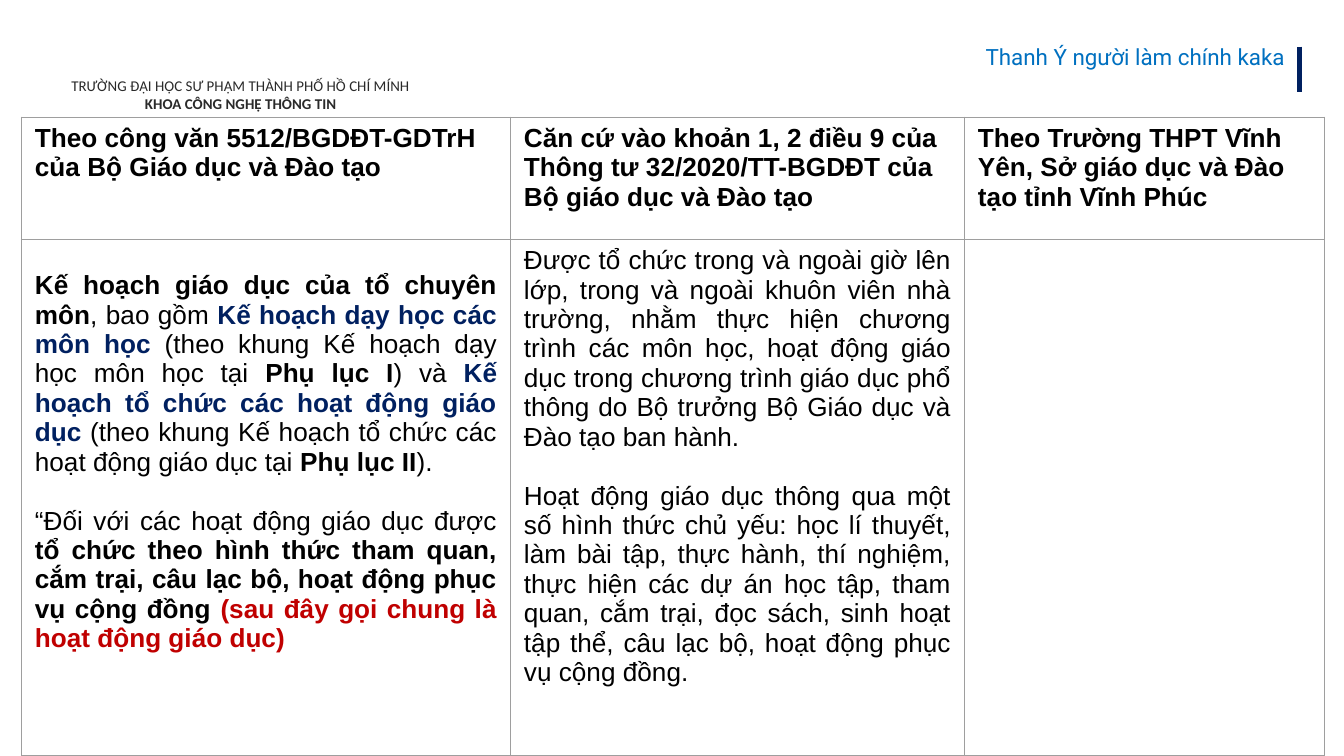
from lxml.etree import SubElement
from pptx import Presentation
from pptx.dml.color import RGBColor as RGB
from pptx.enum.shapes import MSO_CONNECTOR as CONN
from pptx.enum.text import MSO_ANCHOR as ANCHOR, PP_ALIGN as ALIGN
from pptx.oxml import parse_xml
from pptx.oxml.ns import nsdecls, qn
from pptx.util import Pt

COLORS = {
    "ink": "000000",
    "gray": "2A2A2A",
    "blue": "0070C0",
    "navy": "002060",
    "red": "C00000",
    "border": "9E9E9E",
}

SCHOOL = {"name": "Calibri", "size": Pt(8), "color": "gray"}
AUTHOR = {"name": "Roboto", "size": Pt(12), "color": "blue"}
BODY = {"name": "Arial", "size": Pt(14), "bold": False, "color": "ink"}
BOLD = BODY | {"bold": True}
NAVY = BOLD | {"color": "navy"}
RED = BOLD | {"color": "red"}

HEADERS = [
    "Theo công văn 5512/BGDĐT-GDTrH của Bộ Giáo dục và Đào tạo",
    "Căn cứ vào khoản 1, 2 điều 9 của Thông tư 32/2020/TT-BGDĐT của Bộ giáo dục và Đào tạo",
    "Theo Trường THPT Vĩnh Yên, Sở giáo dục và Đào tạo tỉnh Vĩnh Phúc",
]

PLANS = [
    [
        ("Kế hoạch giáo dục của tổ chuyên môn", BOLD),
        (", bao gồm ", BODY),
        ("Kế hoạch dạy học các môn học ", NAVY),
        ("(theo khung Kế hoạch dạy học môn học tại ", BODY),
        ("Phụ lục I", BOLD),
        (") và ", BODY),
        ("Kế hoạch tổ chức các hoạt động giáo dục", NAVY),
        (" (theo khung Kế hoạch tổ chức các hoạt động giáo dục tại ", BODY),
        ("Phụ lục II", BOLD),
        (").", BODY),
    ],
    [
        ("“Đối với các hoạt động giáo dục được ", BODY),
        ("tổ chức theo hình thức tham quan, cắm trại, câu lạc bộ, "
         "hoạt động phục vụ cộng đồng ", BOLD),
        ("(sau đây gọi chung là hoạt động giáo dục)", RED),
    ],
]

ACTIVITIES = [
    [("Được tổ chức trong và ngoài giờ lên lớp, trong và ngoài khuôn viên nhà trường, "
      "nhằm thực hiện chương trình các môn học, hoạt động giáo dục trong chương trình "
      "giáo dục phổ thông do Bộ trưởng Bộ Giáo dục và Đào tạo ban hành.", BODY)],
    [("Hoạt động giáo dục thông qua một số hình thức chủ yếu: học lí thuyết, làm bài tập, "
      "thực hành, thí nghiệm, thực hiện các dự án học tập, tham quan, cắm trại, đọc sách, "
      "sinh hoạt tập thể, câu lạc bộ, hoạt động phục vụ cộng đồng.", BODY)],
]


class Deck:
    def __init__(self, width, height):
        self.prs = Presentation()
        self.prs.slide_width, self.prs.slide_height = Pt(width), Pt(height)
        self.s = self.prs.slides.add_slide(self.prs.slide_layouts[6])

    def fill_text(self, tf, paragraphs, align, gap=0):
        for i, runs in enumerate(paragraphs):
            p = tf.add_paragraph() if i else tf.paragraphs[0]
            p.alignment = align
            p.space_before = Pt(gap if i else 0)
            for text, style in runs:
                r = p.add_run()
                r.text = text
                for key, value in style.items():
                    if key == "color":
                        r.font.color.rgb = RGB.from_string(COLORS[value])
                    else:
                        setattr(r.font, key, value)

    def text(self, x, y, w, h, paragraphs, align):
        tf = self.s.shapes.add_textbox(Pt(x), Pt(y), Pt(w), Pt(h)).text_frame
        tf.word_wrap = True
        self.fill_text(tf, paragraphs, align)

    def line(self, x1, y1, x2, y2, color, width):
        sp = self.s.shapes.add_connector(CONN.STRAIGHT, Pt(x1), Pt(y1), Pt(x2), Pt(y2))
        sp.line.color.rgb = RGB.from_string(COLORS[color])
        sp.line.width = Pt(width)
        SubElement(sp._element.spPr, qn("a:effectLst"))

    def border(self, cell, color, width):
        tc_pr = cell._tc.get_or_add_tcPr()
        for i, side in enumerate("LRTB"):
            tc_pr.insert(i, parse_xml(
                f'<a:ln{side} {nsdecls("a")} w="{Pt(width)}"><a:solidFill>'
                f'<a:srgbClr val="{COLORS[color]}"/></a:solidFill></a:ln{side}>'))

    def table(self, x, y, widths, heights):
        tbl = self.s.shapes.add_table(
            len(heights), len(widths), Pt(x), Pt(y), Pt(sum(widths)), Pt(sum(heights))).table
        tbl.first_row = tbl.horz_banding = False
        for col, width in zip(tbl.columns, widths):
            col.width = Pt(width)
        for row, height in zip(tbl.rows, heights):
            row.height = Pt(height)
        for cell in tbl.iter_cells():
            cell.fill.background()
            cell.vertical_anchor = ANCHOR.TOP
            self.border(cell, "border", 0.75)
        return tbl


def main():
    deck = Deck(720, 405)
    deck.text(-23, 37.5, 304, 26.5, [
        [("TRƯỜNG ĐẠI HỌC SƯ PHẠM THÀNH PHỐ HỒ CHÍ MÍNH", SCHOOL)],
        [("KHOA CÔNG NGHỆ THÔNG TIN", SCHOOL | {"bold": True})],
    ], ALIGN.CENTER)
    deck.text(281.5, 19.5, 414, 21.5, [[("Thanh Ý người làm chính kaka", AUTHOR)]], ALIGN.RIGHT)
    deck.line(696.25, 25, 696.25, 49.5, "navy", 3)

    tbl = deck.table(11.5, 62.75, [262, 243.25, 193], [65.5, 276.5])
    for col, header in enumerate(HEADERS):
        deck.fill_text(tbl.cell(0, col).text_frame, [[(header, BOLD)]], ALIGN.LEFT)
    for col, paragraphs in enumerate([PLANS, ACTIVITIES]):
        deck.fill_text(tbl.cell(1, col).text_frame, paragraphs, ALIGN.JUSTIFY, gap=16)
    tbl.cell(1, 0).margin_top = Pt(17)
    deck.prs.save("out.pptx")


if __name__ == "__main__":
    main()
